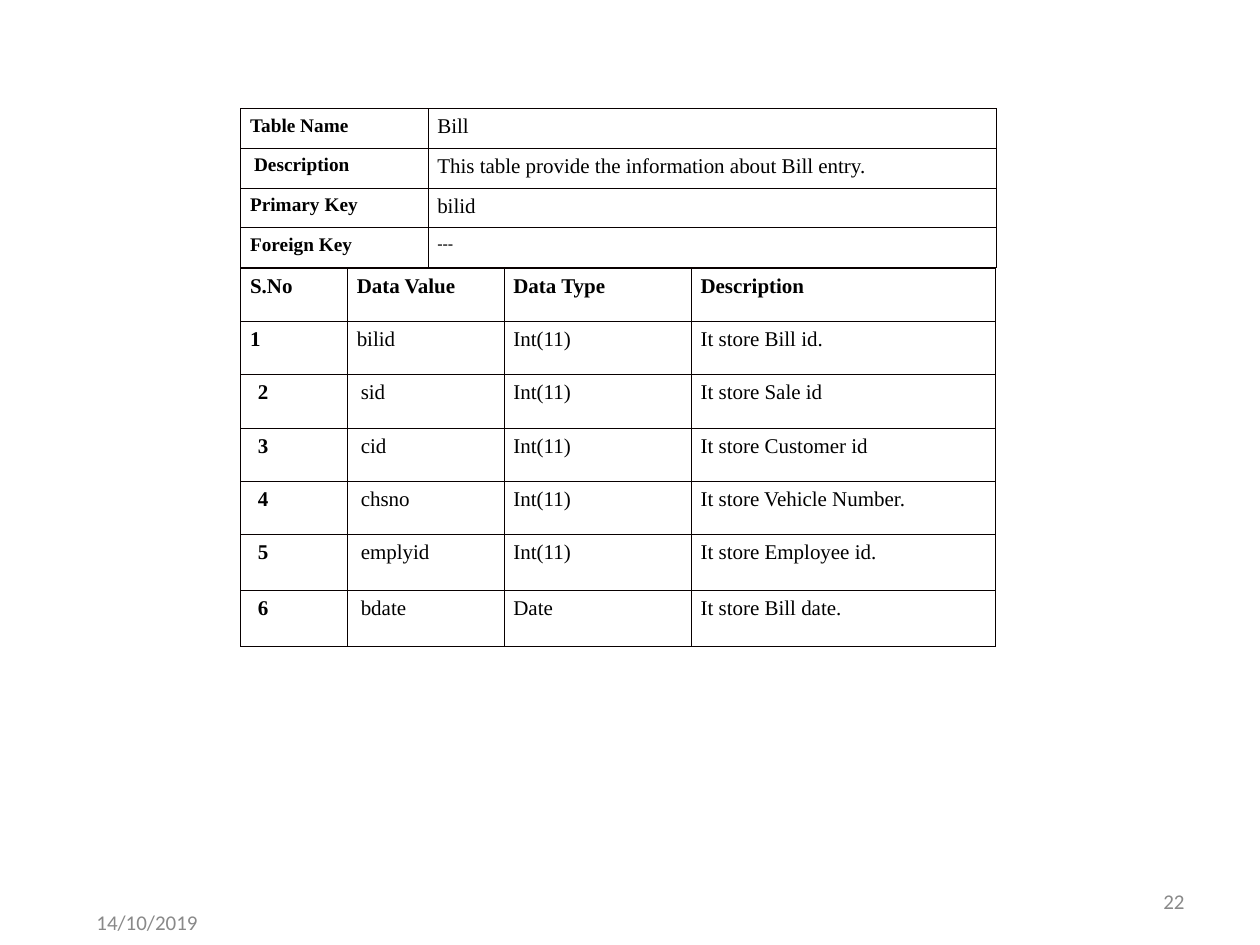
from lxml.etree import SubElement
from pptx import Presentation
from pptx.dml.color import RGBColor
from pptx.enum.text import MSO_ANCHOR as Anchor, PP_ALIGN as Align
from pptx.oxml.ns import qn
from pptx.util import Pt

BLACK = RGBColor(0x00, 0x00, 0x00)
GREY = RGBColor(0x89, 0x89, 0x89)
BORDER = RGBColor(0x08, 0x00, 0x00)
SERIF, SANS = "Times New Roman", "Calibri"

SUMMARY = [
    ("Table Name", "Bill"),
    ("Description", "This table provide the information about Bill entry."),
    ("Primary Key", "bilid"),
    ("Foreign Key", "---"),
]
FIELDS = [
    ("S.No", "Data Value", "Data Type", "Description"),
    ("1", "bilid", "Int(11)", "It store Bill id."),
    ("2", "sid", "Int(11)", "It store Sale id"),
    ("3", "cid", "Int(11)", "It store Customer id"),
    ("4", "chsno", "Int(11)", "It store Vehicle Number."),
    ("5", "emplyid", "Int(11)", "It store Employee id."),
    ("6", "bdate", "Date", "It store Bill date."),
]


def write(tf, text, size=12, font=SERIF, color=BLACK, bold=False, align=Align.LEFT):
    p = tf.paragraphs[0]
    p.alignment = align
    r = p.add_run()
    r.text = text
    r.font.size, r.font.name, r.font.bold = Pt(size), font, bold
    r.font.color.rgb = color


class SlideBuilder:
    inset_x, inset_y, border = 5.4, 3.6, 0.45

    def __init__(self, s):
        self.s = s

    def table(self, left, top, col_widths, row_heights):
        """Add a plain table without the banded style."""
        frame = self.s.shapes.add_table(
            len(row_heights), len(col_widths), Pt(left), Pt(top),
            Pt(sum(col_widths)), Pt(sum(row_heights)))
        table = frame.table
        table.first_row = table.horz_banding = False
        for col, width in zip(table.columns, col_widths):
            col.width = Pt(width)
        for row, height in zip(table.rows, row_heights):
            row.height = Pt(height)
        return table

    def cell(self, cell, text, indent=0, **fmt):
        cell.margin_left = Pt(self.inset_x + indent)
        cell.margin_right = Pt(self.inset_x)
        cell.margin_top = cell.margin_bottom = Pt(self.inset_y)
        self.outline(cell)
        cell.fill.background()
        write(cell.text_frame, text, **fmt)

    def outline(self, cell):
        tc_pr = cell._tc.get_or_add_tcPr()
        for side in ("lnL", "lnR", "lnT", "lnB"):
            ln = SubElement(tc_pr, qn(f"a:{side}"), w=str(Pt(self.border)))
            fill = SubElement(ln, qn("a:solidFill"))
            SubElement(fill, qn("a:srgbClr"), val=str(BORDER))

    def footer(self, text, left, top, align=Align.LEFT):
        sp = self.s.shapes.add_textbox(Pt(left), Pt(top), Pt(168), Pt(28.75))
        tf = sp.text_frame
        tf.word_wrap = True
        tf.vertical_anchor = Anchor.MIDDLE
        write(tf, text, font=SANS, color=GREY, align=align)


def main():
    prs = Presentation()
    prs.slide_width, prs.slide_height = Pt(720), Pt(540)
    slide = SlideBuilder(prs.slides.add_slide(prs.slide_layouts[6]))

    summary = slide.table(137.5, 62, [107, 325], [22.75] * 4)
    for i, (label, value) in enumerate(SUMMARY):
        slide.cell(summary.cell(i, 0), label, size=11, bold=True,
                   indent=2.3 if label == "Description" else 0)
        value_format = dict(size=10, font=SANS) if value == "---" else {}
        slide.cell(summary.cell(i, 1), value, **value_format)

    fields = slide.table(137.5, 153.25, [61, 89.5, 107, 174], [30.5] * 5 + [32] * 2)
    for i, row in enumerate(FIELDS):
        indents = (4.5, 2.3, 0, 0) if i > 1 else (0, 0, 0, 0)
        for j, (text, indent) in enumerate(zip(row, indents)):
            slide.cell(fields.cell(i, j), text, indent=indent, bold=i == 0 or j == 0)

    slide.footer("22", 516, 500.5, align=Align.RIGHT)
    slide.footer("14/10/2019", 48, 512.5)
    prs.save("out.pptx")


if __name__ == "__main__":
    main()
